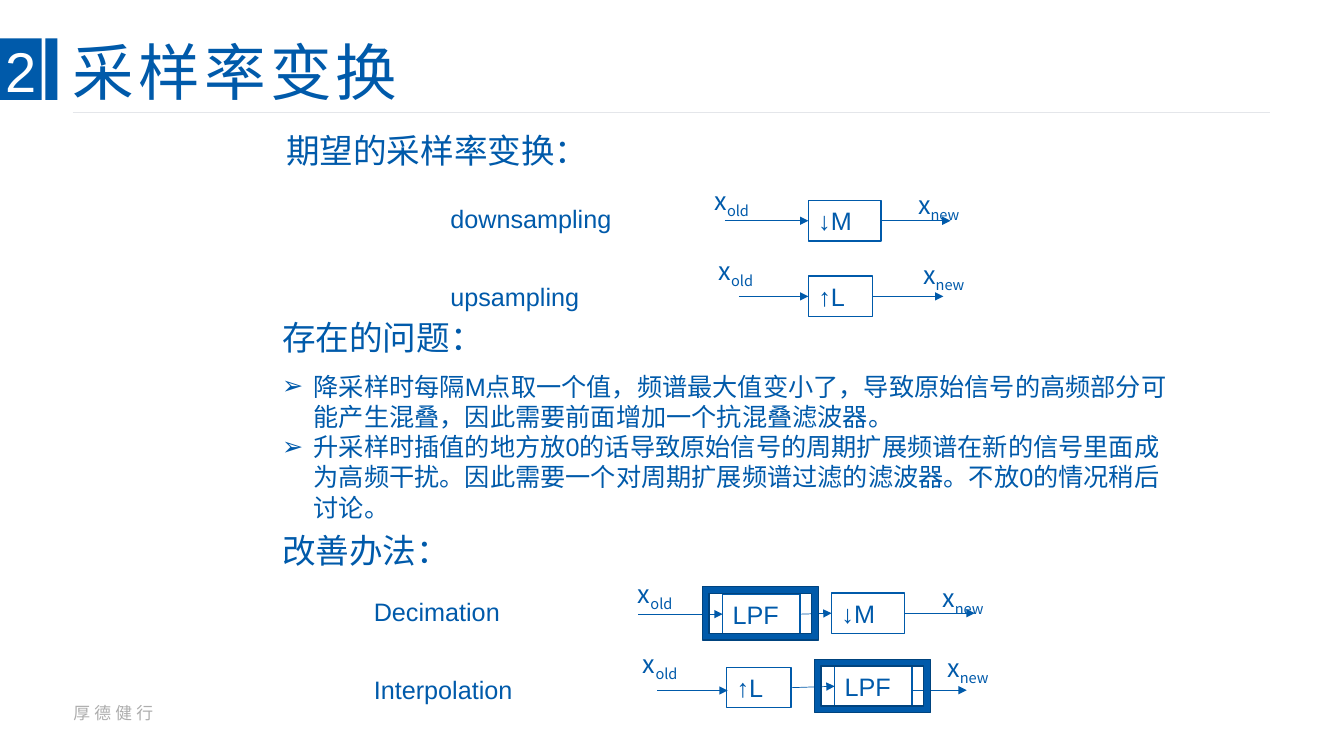
from lxml import etree
from pptx import Presentation
from pptx.dml.color import RGBColor
from pptx.enum.shapes import MSO_CONNECTOR, MSO_SHAPE
from pptx.enum.text import MSO_ANCHOR, MSO_AUTO_SIZE, PP_ALIGN
from pptx.oxml.ns import qn
from pptx.util import Pt

RECT, FRAME, STRAIGHT = MSO_SHAPE.RECTANGLE, MSO_SHAPE.FRAME, MSO_CONNECTOR.STRAIGHT
LEFT, MIDDLE, NO_FIT = PP_ALIGN.LEFT, MSO_ANCHOR.MIDDLE, MSO_AUTO_SIZE.NONE
LEFT_SIDE, RIGHT_SIDE = 1, 3
BLUE, DARK_BLUE, WHITE, GREY, RULE_GREY = "005AAA", "00437E", "FFFFFF", "ADADAD", "E4E6EA"
ARIAL, SANS_SC, SANS_JP = "Arial", "Noto Sans CJK SC", "Noto Sans CJK JP"
rgb = RGBColor.from_string


def write(paragraph, text, size, font=ARIAL, color=BLUE, spacing=0, subscript=""):
    """Fill a paragraph and style it; spacing is the letter spacing in points."""
    paragraph.alignment = LEFT
    paragraph.add_run().text = text
    if subscript:
        low = paragraph.add_run()
        low.text = subscript
        low.font._element.set("baseline", "-25000")
    paragraph.font.size = Pt(size)
    paragraph.font.name = font
    paragraph.font.color.rgb = rgb(color)
    defaults = paragraph._p.pPr.find(qn("a:defRPr"))
    if font != ARIAL:
        etree.SubElement(defaults, qn("a:ea")).set("typeface", font)
    if spacing:
        defaults.set("spc", str(spacing * 100))


def draw(kind, left, top, width, height, fill, line=None):
    block = slide.shapes.add_shape(kind, Pt(left), Pt(top), Pt(width), Pt(height))
    block.shadow.inherit = False
    block.fill.solid()
    block.fill.fore_color.rgb = rgb(fill)
    if line:
        block.line.color.rgb = rgb(line)
        block.line.width = Pt(1)
    else:
        block.line.fill.background()
    return block


deck = Presentation()
deck.slide_width, deck.slide_height = Pt(960), Pt(540)
slide = deck.slides.add_slide(deck.slide_layouts[1])
title, problems = slide.placeholders

# Heading
for left, width in ((-0.7, 30.5), (32.5, 8.5)):
    draw(RECT, left, 27.4, width, 44, BLUE)

title.left, title.top, title.width, title.height = Pt(52), Pt(27.4), Pt(727), Pt(52.6)
title_frame = title.text_frame
title_frame.auto_size = NO_FIT
title_frame.vertical_anchor = MIDDLE
title_frame.margin_left = title_frame.margin_right = 0
title_frame.margin_top = title_frame.margin_bottom = 0
title_frame.paragraphs[0].line_spacing = 0.9
write(title_frame.paragraphs[0], "采样率变换", 44, SANS_JP, spacing=3)

# Problems list
problems.left, problems.top = Pt(194.4), Pt(261.4)
problems.width, problems.height = Pt(657.4), Pt(116.6)
problems.text_frame.auto_size = NO_FIT
problem_texts = (
    "降采样时每隔M点取一个值，频谱最大值变小了，导致原始信号的高频部分可能产生混叠，因此需要前面增加一个抗混叠滤波器。",
    "升采样时插值的地方放0的话导致原始信号的周期扩展频谱在新的信号里面成为高频干扰。因此需要一个对周期扩展频谱过滤的滤波器。不放0的情况稍后讨论。",
)
for index, problem in enumerate(problem_texts):
    item = problems.text_frame.paragraphs[0] if index == 0 else problems.text_frame.add_paragraph()
    item.space_before = Pt(0)
    properties = item._p.get_or_add_pPr()
    properties.set("marL", str(Pt(22.5)))
    properties.set("indent", str(-Pt(22.5)))
    etree.SubElement(properties, qn("a:buFont")).set("typeface", ARIAL)
    etree.SubElement(properties, qn("a:buChar")).set("char", "➢")
    write(item, problem, 18)

# Labels: text, left, top, width, height, size, font, colour, letter spacing, subscript
labels = [
    ("2", -2.9, 22.3, 42, 55.4, 40, ARIAL, WHITE, 3, ""),
    ("厚德健行", 45.4, 498.2, 160, 22, 12, SANS_SC, GREY, 3, ""),
]
for text, left, top in (
    ("期望的采样率变换：", 197.3, 89.3),
    ("存在的问题：", 194.4, 222.5),
    ("改善办法：", 194.4, 375.1),
):
    labels.append((text, left, top, 240, 36, 24, ARIAL, BLUE, 0, ""))
for text, left, top in (
    ("downsampling", 314.6, 141.8),
    ("upsampling", 314.6, 197.3),
    ("Decimation", 259.9, 422.6),
    ("Interpolation", 259.9, 478.1),
):
    labels.append((text, left, top, 170, 28.8, 18, ARIAL, BLUE, 0, ""))
for old_left, new_left, old_top in (
    (503.3, 648.7, 128.9),
    (506.2, 652.3, 178.6),
    (448.6, 666, 409.7),
    (452.2, 669.6, 459.4),
):
    for subscript, left, top in (("old", old_left, old_top), ("new", new_left, old_top + 2.9)):
        labels.append(("x", left, top, 50, 28.8, 18, SANS_SC, BLUE, 0, subscript))

for text, left, top, width, height, size, font, color, spacing, subscript in labels:
    label = slide.shapes.add_textbox(Pt(left), Pt(top), Pt(width), Pt(height))
    label.text_frame.word_wrap = True
    write(label.text_frame.paragraphs[0], text, size, font, color, spacing, subscript)

# Processing blocks
blocks = {}
for name, text, left, top, width in (
    ("downsampler", "↓M", 577.4, 143.3, 52),
    ("upsampler", "↑L", 577.4, 197.3, 46),
    ("decimator", "↓M", 594, 423.6, 52),
    ("interpolator", "↑L", 519.1, 476.8, 46),
    ("decimation filter", "LPF", 516.2, 424.3, 55.4),
    ("interpolation filter", "LPF", 596.2, 475.8, 55.4),
):
    block = draw(RECT, left, top, width, 28.8, WHITE, BLUE)
    block.text_frame.word_wrap = False
    block.text_frame.vertical_anchor = MIDDLE
    write(block.text_frame.paragraphs[0], text, 18)
    blocks[name] = block

# Signal arrows: source block, target block, start x, end x, y
for source, target, start, end, y in (
    (None, "downsampler", 517.7, 577.4, 157.7),
    ("downsampler", None, 629.4, 679, 157.7),
    (None, "upsampler", 527.8, 577.4, 211.7),
    ("upsampler", None, 623.4, 673.9, 211.7),
    (None, "decimation filter", 455.8, 516.2, 438.7),
    ("decimation filter", "decimator", 571.6, 594, 438.7),
    ("decimator", None, 646, 696.2, 438),
    (None, None, 469.4, 519.8, 493.2),
    ("interpolator", "interpolation filter", 565.1, 596.2, 491.2),
    (None, None, 651.6, 690.5, 493),
    (None, None, 52, 907, 80),
):
    is_rule = y == 80
    arrow = slide.shapes.add_connector(STRAIGHT, Pt(start), Pt(y), Pt(end), Pt(y))
    if source:
        arrow.begin_connect(blocks[source], RIGHT_SIDE)
    if target:
        arrow.end_connect(blocks[target], LEFT_SIDE)
    arrow.line.color.rgb = rgb(RULE_GREY if is_rule else BLUE)
    arrow.line.width = Pt(0.5)
    etree.SubElement(arrow._element.spPr, qn("a:effectLst"))
    if not is_rule:
        etree.SubElement(arrow.line._get_or_add_ln(), qn("a:tailEnd")).set("type", "triangle")

# Frames around the added filters
for left, top in ((501.8, 419), (581.8, 470.9)):
    draw(FRAME, left, top, 82.8, 38.2, BLUE, DARK_BLUE)

deck.save("out.pptx")
